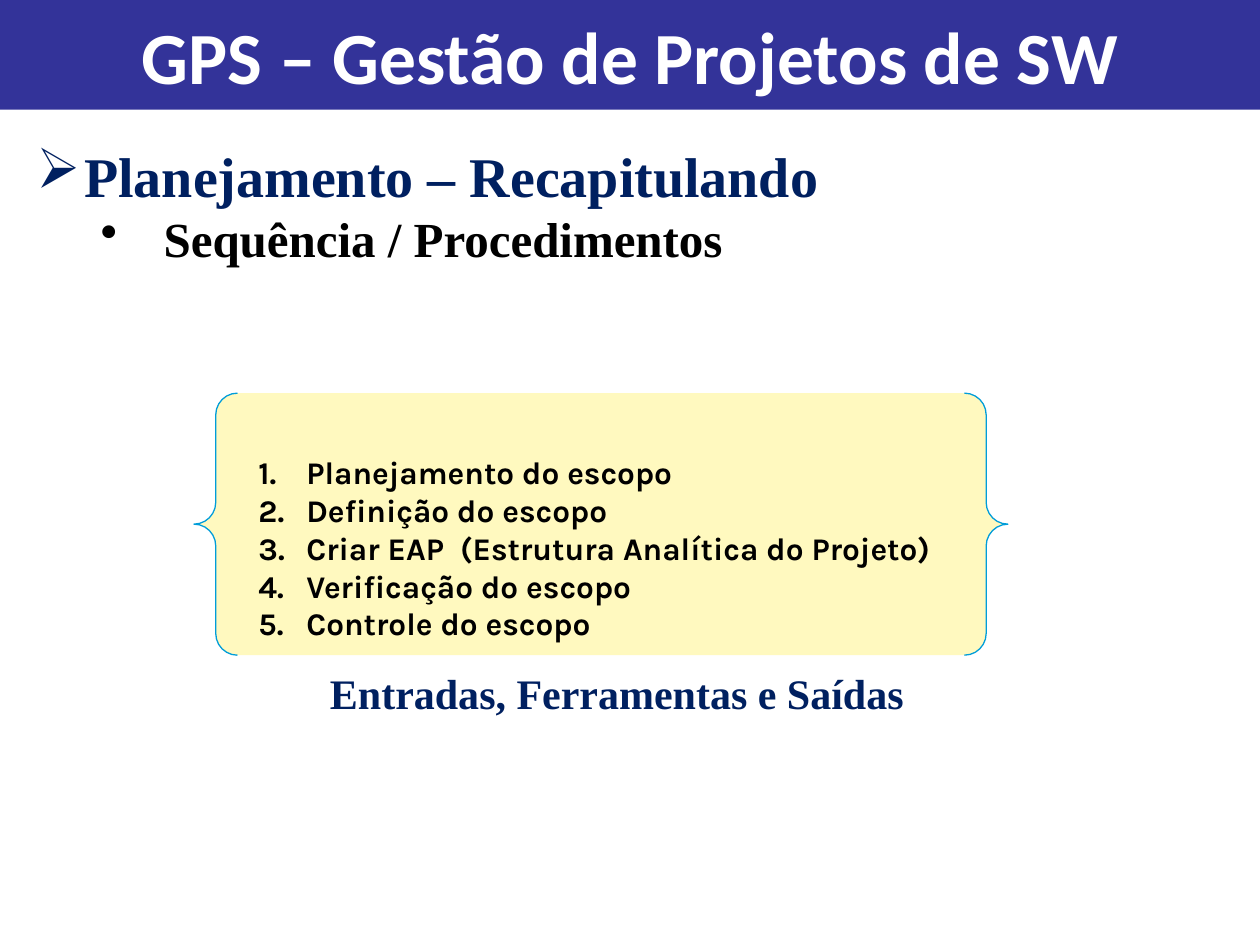
import pptx
import pptx.dml.color
import pptx.enum.shapes
import pptx.enum.text
import pptx.util
from lxml import etree
from pptx.oxml.ns import qn
from pptx.util import Inches

COLORS = {
    "banner": "333399",
    "panel": "FFF9BF",
    "brace": "009DD9",
    "heading": "002060",
    "body": "000000",
    "banner_text": "FFFFFF",
}
SERIF = "Times New Roman"


def rgb(name):
    """Return the named palette colour."""
    return pptx.dml.color.RGBColor.from_string(COLORS[name])


def style(paragraph, font, size, color):
    """Format the runs of a paragraph in bold."""
    for run in paragraph.runs:
        run.font.name = font
        run.font.size = pptx.util.Pt(size)
        run.font.bold = True
        run.font.color.rgb = rgb(color)


def indent(paragraph, margin, first=0, marker=None, **attributes):
    """Set the indents of a paragraph and an optional bullet element."""
    properties = paragraph._p.get_or_add_pPr()
    properties.set("marL", str(Inches(margin)))
    properties.set("indent", str(Inches(first)))
    if marker:
        etree.SubElement(properties, qn(marker), attributes)


def add_panel(slide, box, preset, fill):
    """Add a filled preset shape with vertically centred text."""
    panel = slide.shapes.add_shape(preset, *map(Inches, box))
    panel.shadow.inherit = False
    panel.fill.solid()
    panel.fill.fore_color.rgb = rgb(fill)
    panel.text_frame.word_wrap = True
    panel.text_frame.vertical_anchor = pptx.enum.text.MSO_ANCHOR.MIDDLE
    return panel


def add_text(slide, box, text):
    """Add a wrapping text box and return its text frame."""
    frame = slide.shapes.add_textbox(*map(Inches, box)).text_frame
    frame.word_wrap = True
    frame.text = text
    return frame


def add_banner(slide, box):
    """Add the course title banner."""
    banner = add_panel(slide, box, pptx.enum.shapes.MSO_SHAPE.RECTANGLE, "banner")
    banner.line.fill.background()
    banner.text_frame.text = "GPS – Gestão de Projetos de SW"
    title = banner.text_frame.paragraphs[0]
    title.alignment = pptx.enum.text.PP_ALIGN.CENTER
    style(title, "Calibri", 42, "banner_text")


def add_topic(slide, box):
    """Add the topic heading and its subtopic."""
    frame = add_text(slide, box, "Planejamento – Recapitulando\nSequência / Procedimentos")
    heading, subtopic = frame.paragraphs
    indent(heading, 0.57, -0.38, "a:buChar", char="➢")
    style(heading, SERIF, 32, "heading")
    indent(subtopic, 1.2, -0.5, "a:buChar", char="•")
    style(subtopic, SERIF, 28, "body")


def add_scope_steps(slide, box):
    """Add the numbered scope processes between braces."""
    braces = add_panel(slide, box, pptx.enum.shapes.MSO_SHAPE.DOUBLE_BRACE, "panel")
    braces.adjustments[0] = 0.083
    braces.line.color.rgb = rgb("brace")
    braces.line.width = pptx.util.Pt(0.75)
    frame = braces.text_frame
    frame.margin_top = Inches(0.25)
    frame.text = "\n".join([
        "Planejamento do escopo",
        "Definição do escopo",
        "Criar EAP  (Estrutura Analítica do Projeto)",
        "Verificação do escopo",
        "Controle do escopo",
    ])
    for step in frame.paragraphs:
        step.alignment = pptx.enum.text.PP_ALIGN.LEFT
        indent(step, 0.57, -0.38, "a:buAutoNum", type="arabicPeriod")
        style(step, "Karla", 18, "body")


def add_caption(slide, box):
    """Add the caption below the scope processes."""
    caption = add_text(slide, box, "Entradas, Ferramentas e Saídas").paragraphs[0]
    indent(caption, 0.2)
    style(caption, SERIF, 24, "heading")


def main():
    """Build and save the slide."""
    deck = pptx.Presentation()
    deck.slide_width, deck.slide_height = Inches(10), Inches(7.5)
    slide = deck.slides.add_slide(deck.slide_layouts[6])
    add_scope_steps(slide, (1.54, 3.12, 6.46, 2.08))
    add_topic(slide, (0, 1.07, 9.41, 1.11))
    add_banner(slide, (0, 0, 10, 0.87))
    add_caption(slide, (2.32, 5.25, 5.28, 0.5))
    deck.save("out.pptx")


if __name__ == "__main__":
    main()
